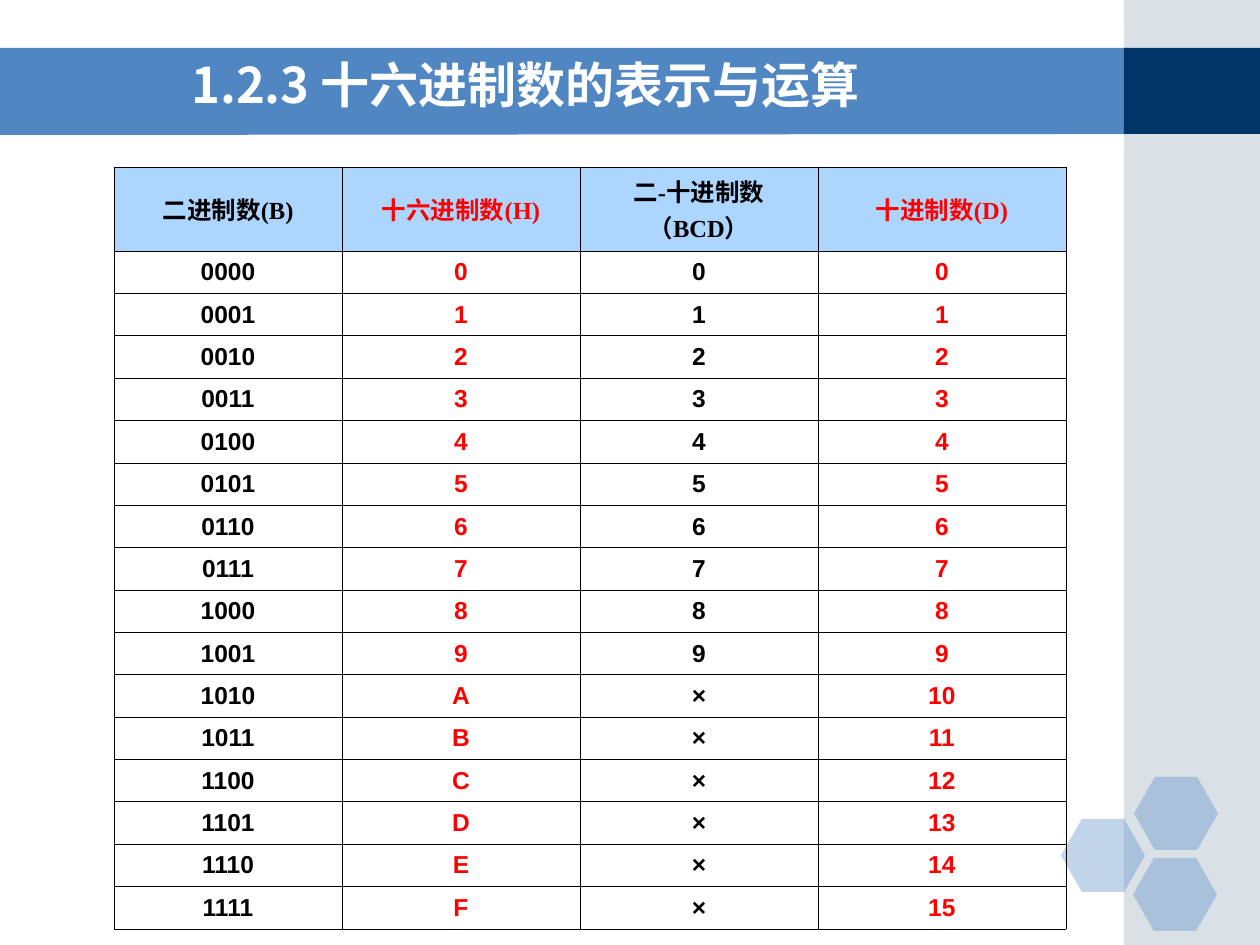
from dataclasses import dataclass

from lxml import etree
from pptx import Presentation
from pptx import util as u
from pptx.dml.color import RGBColor
from pptx.enum import shapes, text
from pptx.oxml import ns

PX_PER_INCH = 126


@dataclass(frozen=True)
class Theme:
    blue: str = "5086C2"
    navy: str = "003366"
    side: str = "A0B5C4"
    header: str = "ADD6FF"
    white: str = "FFFFFF"
    black: str = "000000"
    red: str = "FF0000"
    cjk_font: str = "Noto Sans CJK SC"
    header_font: str = "Times New Roman"
    body_font: str = "Arial"
    title_size: int = 28
    table_size: int = 14
    border_width: float = 0.45


@dataclass(frozen=True)
class Block:
    kind: shapes.MSO_SHAPE
    left: int
    top: int
    width: int
    height: int
    color: str
    opacity: int = 100


@dataclass(frozen=True)
class Column:
    heading: str
    width: int
    color: str
    values: list[str]


THEME = Theme()
RECTANGLE, HEXAGON = shapes.MSO_SHAPE.RECTANGLE, shapes.MSO_SHAPE.HEXAGON

BLOCKS = [
    Block(RECTANGLE, 1124, 0, 136, 945, THEME.side, 40),
    Block(RECTANGLE, 1124, 48, 136, 86, THEME.navy),
] + [
    Block(HEXAGON, left, top, 84, 73, THEME.blue, 35)
    for left, top in [(1061, 819), (1134, 777), (1133, 858)]
]

BAND_POINTS = [(-1, 48), (1128, 48), (1128, 134), (-1, 135)]

NUMBERS = range(16)
COLUMNS = [
    Column("二进制数(B)", 228, THEME.black, [f"{n:04b}" for n in NUMBERS]),
    Column("十六进制数(H)", 238, THEME.red, [f"{n:X}" for n in NUMBERS]),
    Column("二-十进制数（BCD）", 238, THEME.black,
           [str(n) if n < 10 else "×" for n in NUMBERS]),
    Column("十进制数(D)", 248, THEME.red, [str(n) for n in NUMBERS]),
]
TABLE_LEFT, TABLE_TOP = 114, 167
HEADER_HEIGHT, BODY_HEIGHT = 84, 678


def px(length: int) -> u.Emu:
    return u.Emu(round(length * 914400 / PX_PER_INCH))


def paint(shape, color: str, opacity: int = 100) -> None:
    """Give a shape a flat fill without line or shadow."""
    shape.shadow.inherit = False
    shape.line.fill.background()
    shape.fill.solid()
    shape.fill.fore_color.rgb = RGBColor.from_string(color)
    if opacity < 100:
        color_node = shape.fill._xPr.find(".//" + ns.qn("a:srgbClr"))
        etree.SubElement(color_node, ns.qn("a:alpha"), val=str(opacity * 1000))


def format_text(para, font_name: str, size: int, color: str) -> None:
    for span in para.runs:
        span.font.name = font_name
        span.font.size = u.Pt(size)
        span.font.bold = True
        span.font.color.rgb = RGBColor.from_string(color)
        etree.SubElement(span.font._element, ns.qn("a:ea"), typeface=THEME.cjk_font)


def add_band(page) -> None:
    points = [(px(x), px(y)) for x, y in BAND_POINTS]
    builder = page.shapes.build_freeform(*points[0])
    builder.add_line_segments(points[1:], close=True)
    paint(builder.convert_to_shape(), THEME.blue)


def add_block(page, block: Block) -> None:
    shape = page.shapes.add_shape(
        block.kind, px(block.left), px(block.top), px(block.width), px(block.height))
    if block.kind == HEXAGON:
        shape.adjustments[0] = 0.286
    paint(shape, block.color, block.opacity)


def add_borders(cell) -> None:
    properties = cell._tc.get_or_add_tcPr()
    for side in ("lnL", "lnR", "lnT", "lnB"):
        line = etree.SubElement(
            properties, ns.qn(f"a:{side}"), w=str(u.Pt(THEME.border_width)))
        fill = etree.SubElement(line, ns.qn("a:solidFill"))
        etree.SubElement(fill, ns.qn("a:srgbClr"), val=THEME.black)


def fill_cell(cell, content: str, color: str, is_header: bool) -> None:
    add_borders(cell)
    if is_header:
        cell.fill.solid()
        cell.fill.fore_color.rgb = RGBColor.from_string(THEME.header)
    else:
        cell.fill.background()
    cell.vertical_anchor = text.MSO_ANCHOR.MIDDLE
    para = cell.text_frame.paragraphs[0]
    para.text = content
    para.alignment = text.PP_ALIGN.CENTER
    font_name = THEME.header_font if is_header else THEME.body_font
    format_text(para, font_name, THEME.table_size, color)


def add_number_table(page) -> None:
    width = sum(column.width for column in COLUMNS)
    table = page.shapes.add_table(
        len(NUMBERS) + 1, len(COLUMNS), px(TABLE_LEFT), px(TABLE_TOP),
        px(width), px(HEADER_HEIGHT + BODY_HEIGHT)).table
    table.first_row = table.horz_banding = False
    for index, row in enumerate(table.rows):
        row.height = px(BODY_HEIGHT) // len(NUMBERS) if index else px(HEADER_HEIGHT)
    for column_index, column in enumerate(COLUMNS):
        table.columns[column_index].width = px(column.width)
        for row_index, content in enumerate([column.heading, *column.values]):
            fill_cell(table.cell(row_index, column_index), content,
                      column.color, row_index == 0)


def add_title(page) -> None:
    box = page.shapes.add_textbox(px(179), px(45), px(924), px(78))
    frame = box.text_frame
    frame.word_wrap = True
    frame.vertical_anchor = text.MSO_ANCHOR.MIDDLE
    frame.text = "1.2.3 十六进制数的表示与运算"
    format_text(frame.paragraphs[0], THEME.cjk_font, THEME.title_size, THEME.white)


def main() -> None:
    deck = Presentation()
    deck.slide_width, deck.slide_height = px(1260), px(945)
    page = deck.slides.add_slide(deck.slide_layouts[6])
    add_band(page)
    for block in BLOCKS:
        add_block(page, block)
    add_number_table(page)
    add_title(page)
    deck.save("out.pptx")


if __name__ == "__main__":
    main()
